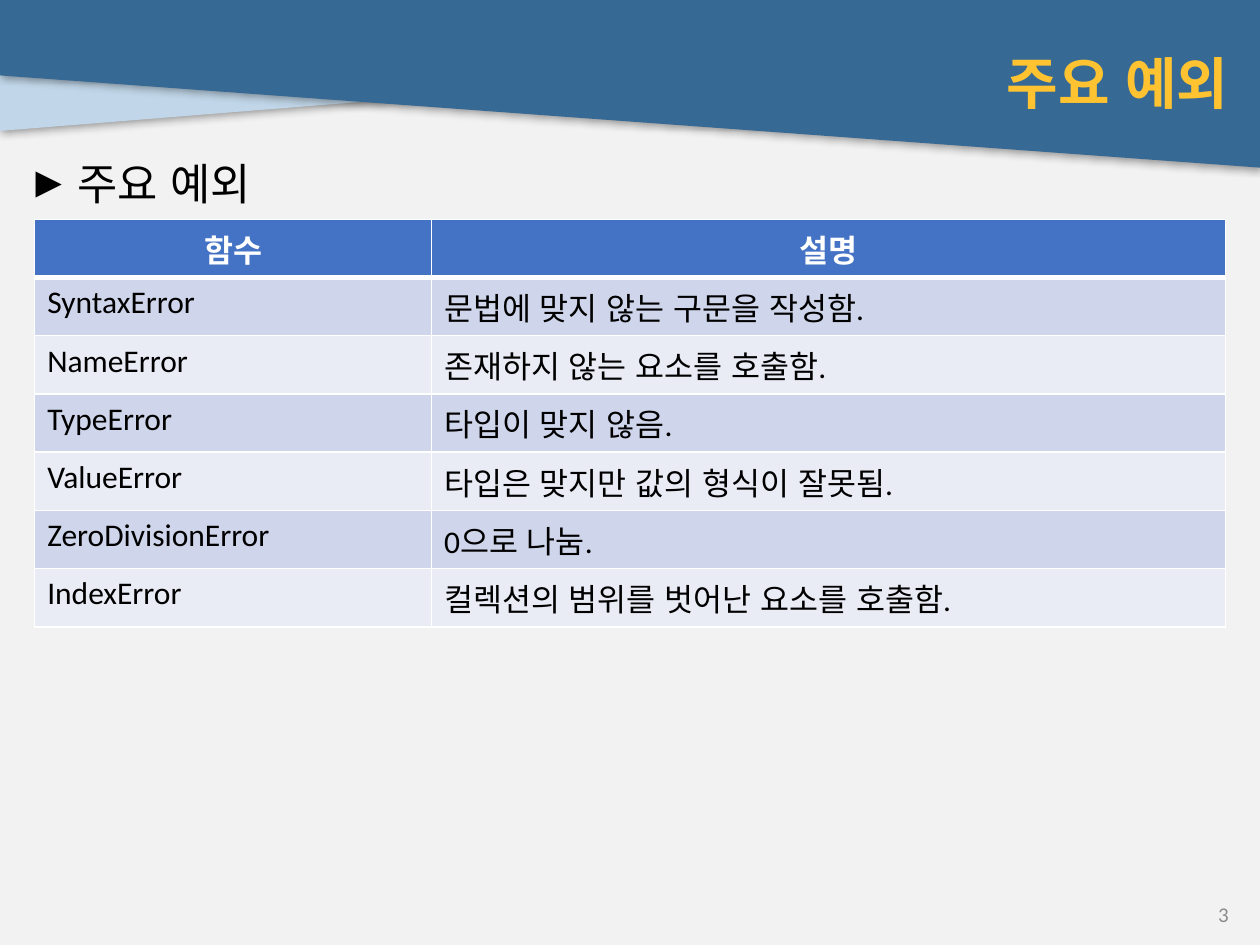
import pptx
import pptx.util
import pptx.dml.color
import pptx.enum.text
import pptx.enum.lang
import pptx.oxml

Cm, Pt = pptx.util.Cm, pptx.util.Pt
RGB = pptx.dml.color.RGBColor.from_string
ALIGN = pptx.enum.text.PP_ALIGN
ANCHOR = pptx.enum.text.MSO_ANCHOR
NS = 'xmlns:a="http://schemas.openxmlformats.org/drawingml/2006/main"'
COLORS = {
    "back": "F2F2F2", "band": "366994", "wedge": "C1D7E9", "title": "FFC331",
    "text": "000000", "number": "8C8C8C", "header": "4472C4", "white": "FFFFFF",
    "odd": "CFD5EA", "even": "E9EBF5",
}
TITLE = {"name": "DejaVu Sans Mono", "size": Pt(32), "bold": True}
BODY = {"name": "DejaVu Sans Mono", "size": Pt(25)}
NUMBER = {"name": "Calibri", "size": Pt(12)}
HEADER = {"name": "Calibri", "size": Pt(18), "bold": True}
CELL = {"name": "Calibri", "size": Pt(18), "bold": False}
SPACED = {"space_before": Pt(2), "space_after": Pt(2)}
ROWS = [
    ("함수", "설명"),
    ("SyntaxError", "문법에 맞지 않는 구문을 작성함."),
    ("NameError", "존재하지 않는 요소를 호출함."),
    ("TypeError", "타입이 맞지 않음."),
    ("ValueError", "타입은 맞지만 값의 형식이 잘못됨."),
    ("ZeroDivisionError", "0으로 나눔."),
    ("IndexError", "컬렉션의 범위를 벗어난 요소를 호출함."),
]


def add_xml(parent, xml):
    parent.append(pptx.oxml.parse_xml(xml))


def set_all(obj, values):
    for name, value in values.items():
        setattr(obj, name, value)


def fill_solid(fill, color):
    fill.solid()
    fill.fore_color.rgb = RGB(COLORS[color])


def write(tf, text, font, color, para):
    p = tf.paragraphs[0]
    set_all(p, para)
    r = p.add_run()
    r.text = text
    set_all(r.font, font)
    r.font.color.rgb = RGB(COLORS[color])
    r.font.language_id = pptx.enum.lang.MSO_LANGUAGE_ID.KOREAN
    return p


def add_text(s, box, text, font, color, para, anchor=ANCHOR.MIDDLE):
    tf = s.shapes.add_textbox(*map(Cm, box)).text_frame
    set_all(tf, {"word_wrap": True, "vertical_anchor": anchor})
    return write(tf, text, font, color, para)


def add_panel(s, box, points, color):
    x, y, w, h = box
    corners = [(Cm(x + w * u), Cm(y + h * v)) for u, v in points]
    fb = s.shapes.build_freeform(*corners[0], scale=1.0)
    fb.add_line_segments(corners[1:], close=True)
    sp = fb.convert_to_shape()
    fill_solid(sp.fill, color)
    sp.line.fill.background()
    add_xml(sp._element.spPr,
            f'<a:effectLst {NS}><a:outerShdw blurRad="{Pt(5)}" dist="{Pt(1)}" '
            f'dir="{45 * 60000}" algn="tl" rotWithShape="0"><a:srgbClr val="000000">'
            f'<a:alpha val="40000"/></a:srgbClr></a:outerShdw></a:effectLst>')


def add_header(s, box):
    x, y, w, h = box
    add_panel(s, (x, y + 0.1, 17.37, 2.54), [(1, 0), (0, 0), (0, 1), (1, 0.45)], "wedge")
    add_panel(s, box, [(0, 0), (1, 0), (1, 1), (0, 0.45)], "band")
    add_text(s, (x + 0.62, y + 0.62, w - 1, 2.06), "주요 예외", TITLE, "title",
             {"alignment": ALIGN.RIGHT, **SPACED})


def add_body(s, box):
    p = add_text(s, box, "주요 예외", BODY, "text", SPACED, ANCHOR.TOP)
    pPr = p._p.get_or_add_pPr()
    pPr.set("marL", str(Cm(1.02)))
    pPr.set("indent", str(-Cm(1.02)))
    add_xml(pPr, f'<a:buFont {NS} typeface="Arial"/>')
    add_xml(pPr, f'<a:buChar {NS} char="►"/>')


def set_borders(cell, widths):
    tcPr = cell._tc.get_or_add_tcPr()
    for i, (side, width) in enumerate(widths.items()):
        tcPr.insert(i, pptx.oxml.parse_xml(
            f'<a:ln{side} {NS} w="{Pt(width)}"><a:solidFill>'
            f'<a:srgbClr val="{COLORS["white"]}"/></a:solidFill></a:ln{side}>'))


def add_error_table(s, box):
    table = s.shapes.add_table(len(ROWS), 2, *map(Cm, box)).table
    for column, share in zip(table.columns, (1 / 3, 2 / 3)):
        column.width = Cm(box[2] * share)
    for i, row in enumerate(ROWS):
        table.rows[i].height = Cm(box[3] / len(ROWS))
        head = i == 0
        fill = "header" if head else ("odd" if i % 2 else "even")
        for j, text in enumerate(row):
            cell = table.cell(i, j)
            fill_solid(cell.fill, fill)
            set_borders(cell, {"L": 1, "R": 1, "T": 3 if i == 1 else 1, "B": 3 if head else 1})
            write(cell.text_frame, text, HEADER if head else CELL,
                  "white" if head else "text",
                  {"alignment": ALIGN.CENTER if head else ALIGN.LEFT})


def main():
    prs = pptx.Presentation()
    set_all(prs, {"slide_width": Cm(25.4), "slide_height": Cm(19.05)})
    s = prs.slides.add_slide(prs.slide_layouts[6])
    fill_solid(s.background.fill, "back")
    add_header(s, (0, 0, 25.4, 3.38))
    add_body(s, (0.3, 3.03, 24.71, 14.78))
    add_text(s, (19.31, 18.11, 5.71, 0.64), "3", NUMBER, "number", {"alignment": ALIGN.RIGHT})
    add_error_table(s, (0.7, 4.42, 24, 8.22))
    prs.save("out.pptx")


main()
